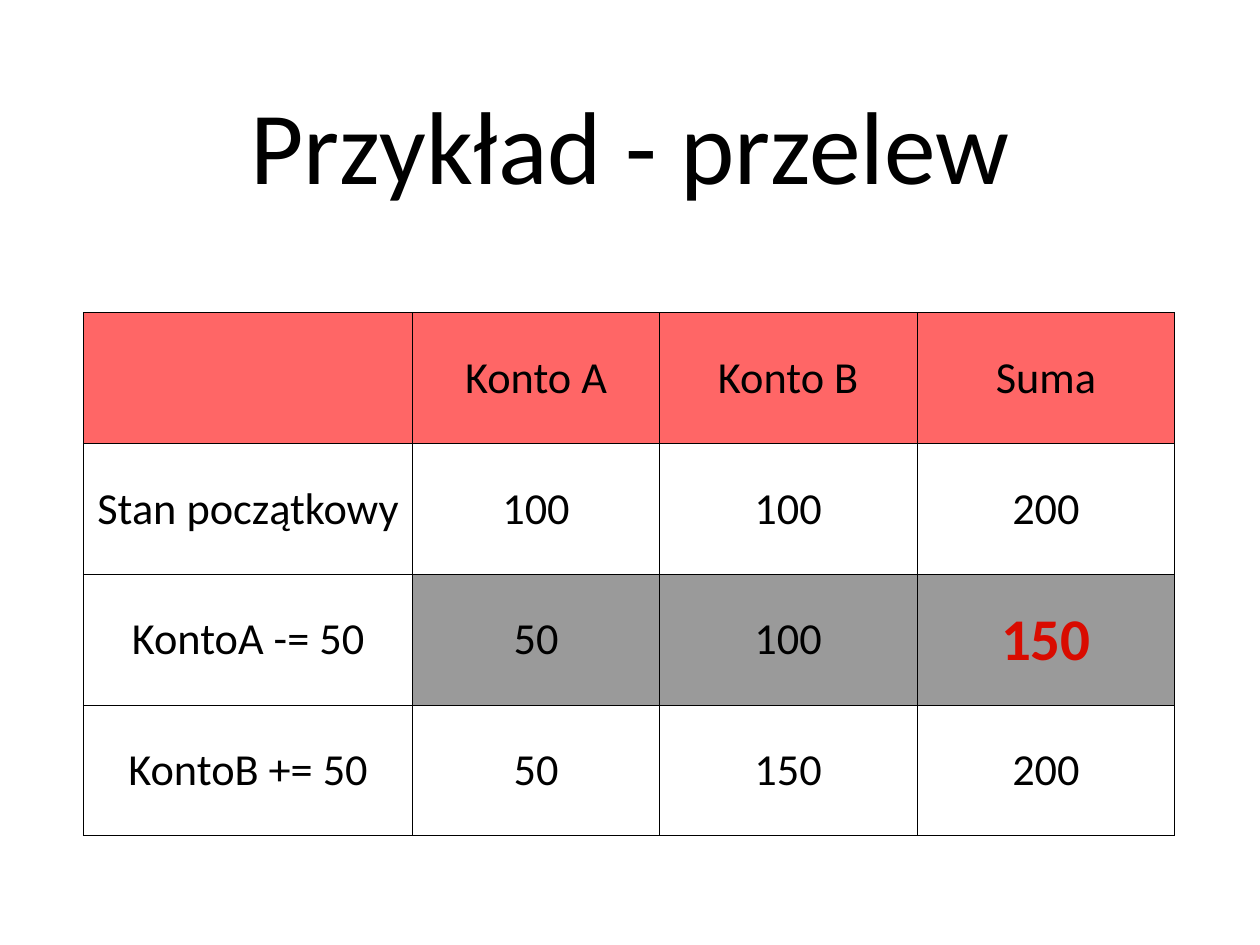
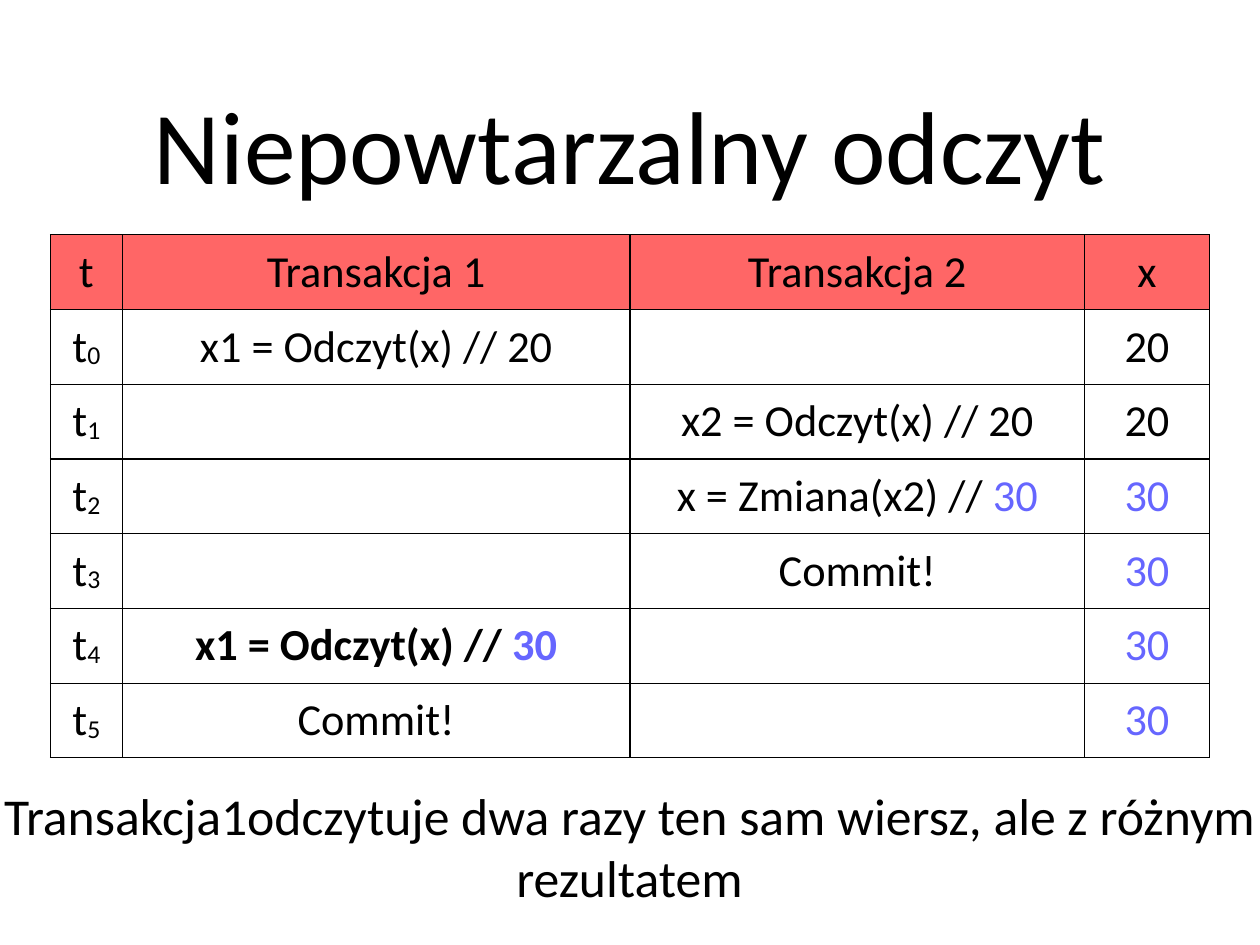
from lxml import etree
from pptx import Presentation
from pptx.dml.color import RGBColor
from pptx.enum.text import MSO_ANCHOR, PP_ALIGN
from pptx.oxml.ns import qn
from pptx.util import Inches, Pt

CENTER = PP_ALIGN.CENTER
MIDDLE = MSO_ANCHOR.MIDDLE

SLIDE_SIZE = (14.22, 10.66)
FONT = "Calibri"
BLACK, WHITE, HEADER, GREY, RED, BLUE = (
    "000000", "FFFFFF", "FF6666", "9A9A9A", "D90B00", "6666FF")
BORDER_WIDTH = 0.96
TABLE_HEIGHT = 5.9
CELL_MARGINS = {"margin_left": 0.06, "margin_right": 0.06,
                "margin_top": 0.05, "margin_bottom": 0.05}

TITLE = {"box": (1.39, 0.28, 11.44, 2.67), "size": 84, "inset": 0.06}
CAPTION = {"box": (0, 8.81, 14.21, 1.47), "size": 42, "inset": 0}

# A cell is a list of runs: (text, differences from the default run format).
EMPTY = []
NEW_VALUE = ("30", {"color": BLUE})


def plain(text):
    return [(text, {})]


def moment(index):
    """Time label with a subscript number."""
    return [("t", {}), (str(index), {"baseline": -6000})]


SLIDES = [
    {
        "title": "Przykład - przelew",
        "table": {
            "left": 0.94, "top": 3.53, "columns": (3.72, 2.78, 2.91, 2.91),
            "rows": [
                [EMPTY, plain("Konto A"), plain("Konto B"), plain("Suma")],
                [plain("Stan początkowy"), plain("100"), plain("100"), plain("200")],
                [plain("KontoA -= 50"), plain("50"), plain("100"),
                 [("150", {"size": 48, "color": RED, "bold": True})]],
                [plain("KontoB += 50"), plain("50"), plain("150"), plain("200")],
            ],
            "grey_cells": {(2, 1), (2, 2), (2, 3)},
        },
    },
    {
        "title": "Niepowtarzalny odczyt",
        "table": {
            "left": 0.57, "top": 2.65, "columns": (0.81, 5.73, 5.13, 1.41),
            "rows": [
                [plain("t"), plain("Transakcja 1"), plain("Transakcja 2"), plain("x")],
                [moment(0), plain("x1 = Odczyt(x) // 20"), EMPTY, plain("20")],
                [moment(1), EMPTY, plain("x2 = Odczyt(x) // 20"), plain("20")],
                [moment(2), EMPTY, [("x = Zmiana(x2) // ", {}), NEW_VALUE], [NEW_VALUE]],
                [moment(3), EMPTY, plain("Commit!"), [NEW_VALUE]],
                [moment(4), [("x1 = Odczyt(x) // ", {"bold": True}),
                             ("30", {"color": BLUE, "bold": True})], EMPTY, [NEW_VALUE]],
                [moment(5), plain("Commit!"), EMPTY, [NEW_VALUE]],
            ],
            "grey_cells": set(),
        },
        "caption": "Transakcja1odczytuje dwa razy ten sam wiersz, ale z różnym rezultatem",
    },
]


def rgb(value):
    return RGBColor.from_string(value)


def write_runs(text_frame, runs, default_size):
    paragraph = text_frame.paragraphs[0]
    paragraph.alignment = CENTER
    for text, changes in runs:
        run = paragraph.add_run()
        run.text = text
        values = {"name": FONT, "size": Pt(changes.get("size", default_size)),
                  "bold": changes.get("bold", False)}
        for name, value in values.items():
            setattr(run.font, name, value)
        run.font.color.rgb = rgb(changes.get("color", BLACK))
        if "baseline" in changes:
            run.font._element.set("baseline", str(changes["baseline"]))


def add_text(slide, text, style):
    shape = slide.shapes.add_textbox(*map(Inches, style["box"]))
    text_frame = shape.text_frame
    text_frame.word_wrap = True
    text_frame.vertical_anchor = MIDDLE
    for side in ("left", "right", "top", "bottom"):
        setattr(text_frame, f"margin_{side}", Inches(style["inset"]))
    write_runs(text_frame, plain(text), style["size"])


def add_borders(cell):
    properties = cell._tc.get_or_add_tcPr()
    for side in ("lnL", "lnR", "lnT", "lnB"):
        line = etree.SubElement(properties, qn(f"a:{side}"), w=str(Pt(BORDER_WIDTH)))
        fill = etree.SubElement(line, qn("a:solidFill"))
        etree.SubElement(fill, qn("a:srgbClr"), val=BLACK)


def add_grid(slide, content):
    rows, columns = content["rows"], content["columns"]
    frame = slide.shapes.add_table(
        len(rows), len(columns), Inches(content["left"]), Inches(content["top"]),
        Inches(sum(columns)), Inches(TABLE_HEIGHT))
    table = frame.table
    table.first_row = table.horz_banding = False
    for column, width in zip(table.columns, columns):
        column.width = Inches(width)
    for row_index, row in enumerate(rows):
        table.rows[row_index].height = Inches(TABLE_HEIGHT / len(rows))
        for column_index, runs in enumerate(row):
            cell = table.cell(row_index, column_index)
            cell.vertical_anchor = MIDDLE
            for name, value in CELL_MARGINS.items():
                setattr(cell, name, Inches(value))
            add_borders(cell)
            if row_index == 0:
                color = HEADER
            elif (row_index, column_index) in content["grey_cells"]:
                color = GREY
            else:
                color = WHITE
            cell.fill.solid()
            cell.fill.fore_color.rgb = rgb(color)
            write_runs(cell.text_frame, runs, 36)


def main():
    presentation = Presentation()
    presentation.slide_width, presentation.slide_height = map(Inches, SLIDE_SIZE)
    blank_layout = presentation.slide_layouts[6]
    for content in SLIDES:
        slide = presentation.slides.add_slide(blank_layout)
        add_text(slide, content["title"], TITLE)
        add_grid(slide, content["table"])
        if "caption" in content:
            add_text(slide, content["caption"], CAPTION)
    presentation.save("out.pptx")


if __name__ == "__main__":
    main()
